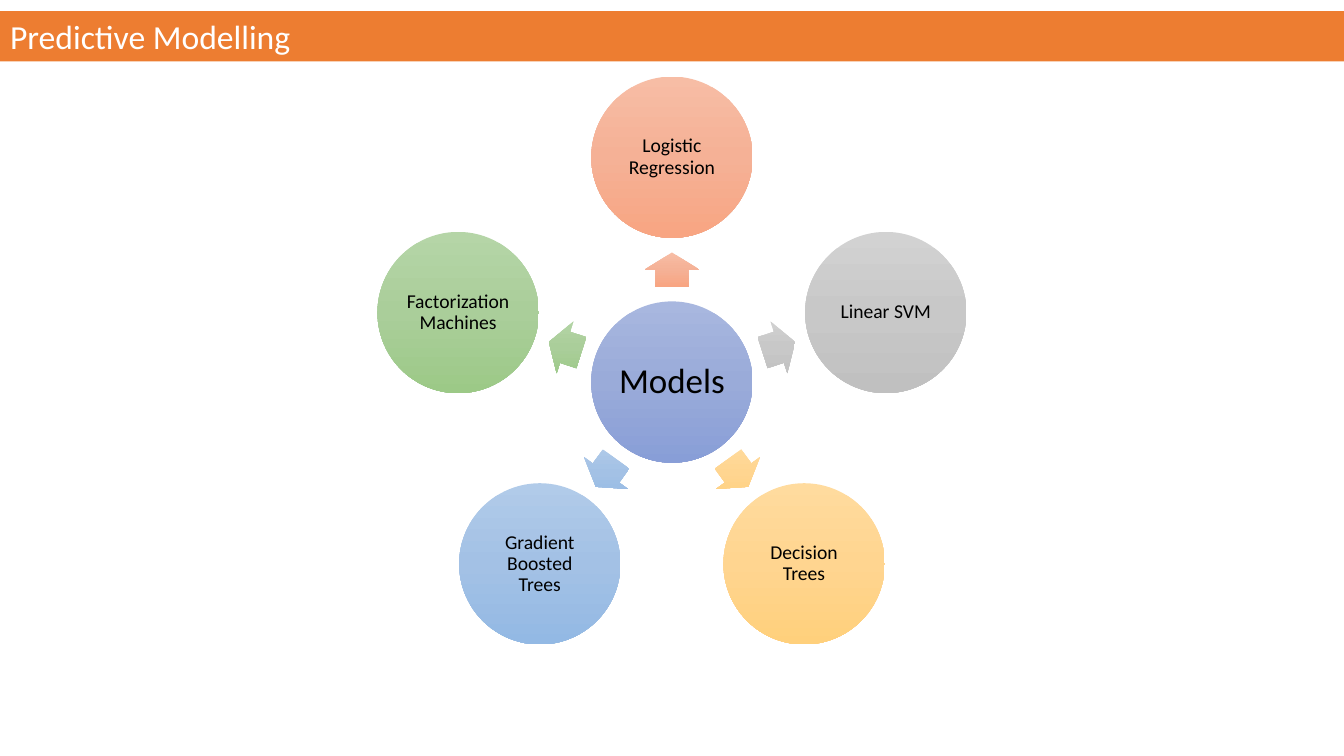
"""Build the Predictive Modelling slide: five models radiating from a hub."""
import copy
import math

from pptx import Presentation, util as u
from pptx.dml.color import RGBColor
from pptx.enum import shapes, text
from pptx.oxml.ns import qn

TITLE = "Predictive Modelling"
HUB = ("Models", "blue")
MODELS = [
    ("Logistic Regression", "orange"),
    ("Linear SVM", "gray"),
    ("Decision Trees", "gold"),
    ("Gradient Boosted Trees", "sky"),
    ("Factorization Machines", "green"),
]
COLORS = {"bar": "ED7D31", "title": "FFFFFF", "label": "000000"}
GRADIENTS = {
    "blue": ("A8B7DF", "9AABD9", "889ED7"),
    "orange": ("F7BDA5", "F5B196", "F8A582"),
    "gray": ("D2D2D2", "C8C8C8", "C0C0C0"),
    "gold": ("FFDB9E", "FFD590", "FFD07C"),
    "sky": ("B1CBE9", "A3C1E5", "93B9E4"),
    "green": ("B5D5A7", "AACE9A", "9CC987"),
}
FONT = "Calibri"
WIDTH, HEIGHT = 13.33, 7.5
CENTER_X, CENTER_Y = WIDTH / 2, 3.79
DIAMETER, ORBIT = 1.6, 2.23
ARROW_W, ARROW_H = 0.34, 0.54


def format_text(shape, content, size, color, align, inset_x, inset_y):
    tf = shape.text_frame
    tf.text = content
    tf.word_wrap = True
    tf.auto_size = text.MSO_AUTO_SIZE.NONE
    tf.vertical_anchor = text.MSO_ANCHOR.MIDDLE
    tf.margin_left = tf.margin_right = u.Inches(inset_x)
    tf.margin_top = tf.margin_bottom = u.Inches(inset_y)
    p = tf.paragraphs[0]
    p.alignment = align
    p.line_spacing = 0.9
    font = p.runs[0].font
    font.name, font.size = FONT, u.Pt(size)
    font.color.rgb = RGBColor.from_string(COLORS[color])


def add_gradient_shape(slide, kind, x, y, w, h, color):
    sp = slide.shapes.add_shape(kind, u.Inches(x - w / 2), u.Inches(y - h / 2),
                                u.Inches(w), u.Inches(h))
    sp.shadow.inherit = False
    sp.line.fill.background()
    sp.fill.gradient()
    sp.fill.gradient_angle = 270
    grad = sp._element.spPr.find(qn("a:gradFill"))
    grad.set("rotWithShape", "0")
    stops = grad.find(qn("a:gsLst"))
    stops.append(copy.deepcopy(stops[0]))
    for i, (stop, shade) in enumerate(zip(sp.fill.gradient_stops, GRADIENTS[color])):
        stop.position = i / 2
        stop.color.rgb = RGBColor.from_string(shade)
    return sp


def add_circle(slide, x, y, label, color, size, inset):
    sp = add_gradient_shape(slide, shapes.MSO_SHAPE.OVAL, x, y, DIAMETER, DIAMETER, color)
    format_text(sp, label, size, "label", text.PP_ALIGN.CENTER, inset, inset)


def main():
    prs = Presentation()
    prs.slide_width, prs.slide_height = u.Inches(WIDTH), u.Inches(HEIGHT)
    s = prs.slides.add_slide(prs.slide_layouts[5])

    title = s.shapes.title
    title.left, title.top = 0, u.Inches(0.11)
    title.width, title.height = prs.slide_width, u.Inches(0.5)
    title.fill.solid()
    title.fill.fore_color.rgb = RGBColor.from_string(COLORS["bar"])
    format_text(title, TITLE, 24, "title", text.PP_ALIGN.LEFT, 0.1, 0.05)
    title.text_frame.paragraphs[0].line_spacing = 1.0

    add_circle(s, CENTER_X, CENTER_Y, *HUB, 25, 0.03)
    for i, (label, color) in enumerate(MODELS):
        angle = (270 + i * 360 / len(MODELS)) % 360
        dx = ORBIT * math.cos(math.radians(angle))
        dy = ORBIT * math.sin(math.radians(angle))
        arrow = add_gradient_shape(s, shapes.MSO_SHAPE.RIGHT_ARROW, CENTER_X + dx / 2,
                                   CENTER_Y + dy / 2, ARROW_W, ARROW_H, color)
        arrow.adjustments[0], arrow.adjustments[1] = 0.6, 0.5
        arrow.rotation = angle
        add_circle(s, CENTER_X + dx, CENTER_Y + dy, label, color, 14, 0.02)

    prs.save("out.pptx")


if __name__ == "__main__":
    main()
